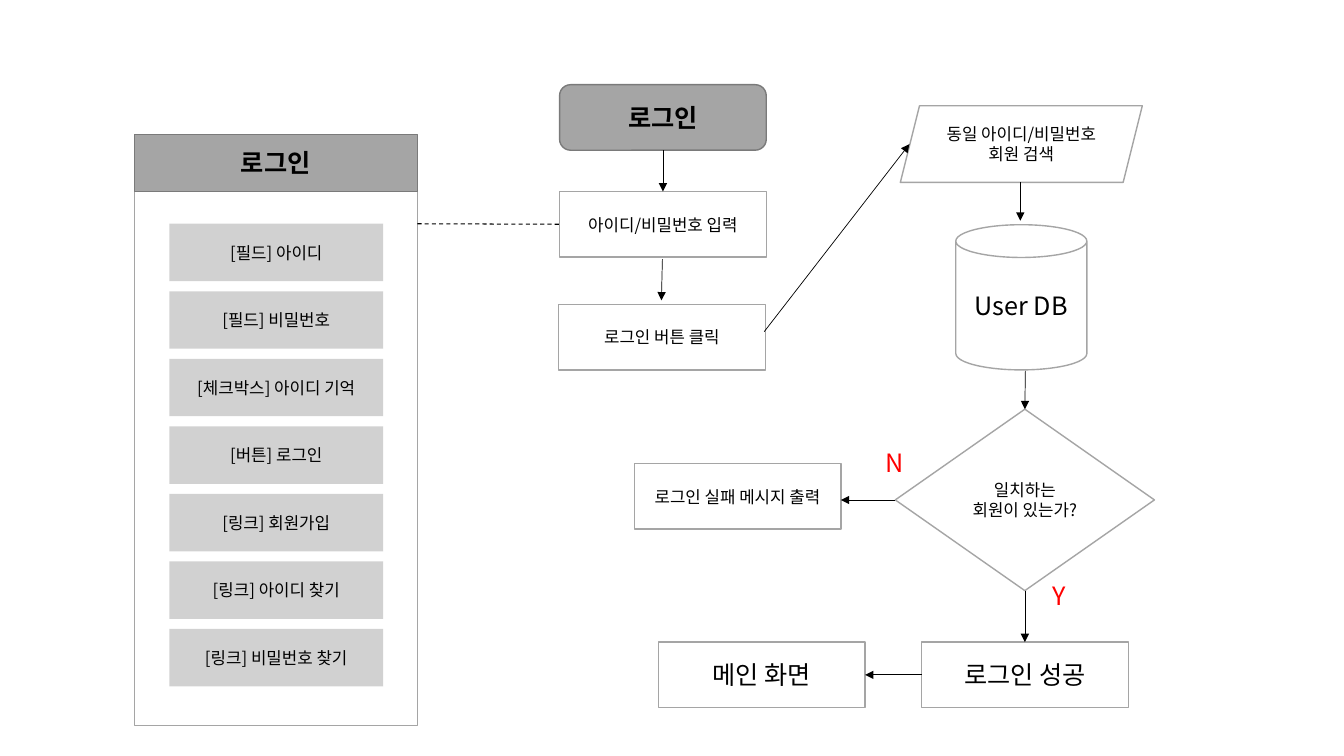
from lxml import etree
from pptx import Presentation
from pptx.dml.color import RGBColor
from pptx.enum.dml import MSO_LINE
from pptx.enum.shapes import MSO_CONNECTOR, MSO_SHAPE
from pptx.enum.text import MSO_ANCHOR, MSO_AUTO_SIZE, PP_ALIGN
from pptx.oxml.ns import qn
from pptx.util import Inches, Pt

FONT = "Noto Sans CJK KR"
BLACK = RGBColor(0x00, 0x00, 0x00)
WHITE = RGBColor(0xFF, 0xFF, 0xFF)
RED = RGBColor(0xFF, 0x00, 0x00)
GRAY = RGBColor(0xA5, 0xA5, 0xA5)
DARK_GRAY = RGBColor(0x7A, 0x7A, 0x7A)

RECTANGLE = MSO_SHAPE.RECTANGLE
ROUNDED = MSO_SHAPE.ROUNDED_RECTANGLE
PARALLELOGRAM = MSO_SHAPE.PARALLELOGRAM
CAN = MSO_SHAPE.CAN
DECISION = MSO_SHAPE.FLOWCHART_DECISION
STRAIGHT = MSO_CONNECTOR.STRAIGHT
DASH = MSO_LINE.DASH
MIDDLE = MSO_ANCHOR.MIDDLE
CENTER = PP_ALIGN.CENTER
GROW = MSO_AUTO_SIZE.SHAPE_TO_FIT_TEXT

TOP, LEFT, BOTTOM, RIGHT = range(4)
STEP_WIDTH, STEP_HEIGHT = 2.05, 0.65
FIELD_TOP, FIELD_PITCH = 2.22, 0.67
FIELDS = [
    "[필드] 아이디",
    "[필드] 비밀번호",
    "[체크박스] 아이디 기억",
    "[버튼] 로그인",
    "[링크] 회원가입",
    "[링크] 아이디 찾기",
    "[링크] 비밀번호 찾기",
]


def write_text(frame, text, size, color=BLACK, bold=False):
    frame.text = text
    for span in frame.paragraphs[0].runs:
        span.font.name = FONT
        span.font.size = Pt(size)
        span.font.bold = bold
        span.font.color.rgb = color
        east_asian = etree.SubElement(span.font._element, qn("a:ea"))
        east_asian.set("typeface", FONT)


def add_box(page, kind, place, text="", size=12, bold=False,
            fill=WHITE, line=GRAY, line_width=1):
    box = page.shapes.add_shape(kind, *map(Inches, place))
    box.shadow.inherit = False
    box.fill.solid()
    box.fill.fore_color.rgb = fill
    if line is None:
        box.line.fill.background()
    else:
        box.line.color.rgb = line
        box.line.width = Pt(line_width)
    if text:
        frame = box.text_frame
        frame.word_wrap = True
        frame.vertical_anchor = MIDDLE
        write_text(frame, text, size, bold=bold)
        frame.paragraphs[0].alignment = CENTER
    return box


def add_step(page, left, top, text, size=12):
    place = (left, top, STEP_WIDTH, STEP_HEIGHT)
    return add_box(page, RECTANGLE, place, text, size)


def add_field(page, top, text):
    """Add a half-transparent row of the login screen panel."""
    field = add_box(page, RECTANGLE, (1.68, top, 2.12, 0.57), text,
                    fill=GRAY, line=None)
    color = field._element.spPr.find(qn("a:solidFill"))[0]
    etree.SubElement(color, qn("a:alpha")).set("val", "50000")


def add_line(page, start, end, begin=None, finish=None, width=0.5):
    """Draw a line; begin and finish are optional (shape, side) joints."""
    line = page.shapes.add_connector(STRAIGHT, *map(Inches, start + end))
    line.line.color.rgb = BLACK
    line.line.width = Pt(width)
    if begin:
        line.begin_connect(*begin)
    if finish:
        line.end_connect(*finish)
    etree.SubElement(line._element.spPr, qn("a:effectLst"))
    return line


def add_arrow(page, start, end, begin=None, finish=None):
    arrow = add_line(page, start, end, begin, finish)
    head = etree.SubElement(arrow.line._get_or_add_ln(), qn("a:tailEnd"))
    head.set("type", "triangle")


def add_answer(page, left, top, text):
    box = page.shapes.add_textbox(*map(Inches, (left, top, 0.34, 0.4)))
    box.text_frame.word_wrap = True
    box.text_frame.auto_size = GROW
    write_text(box.text_frame, text, 18, RED)


def add_login_panel(page):
    add_box(page, RECTANGLE, (1.33, 1.38, 2.81, 5.81), line_width=0.25)
    add_box(page, RECTANGLE, (1.33, 1.33, 2.81, 0.57), "로그인", 18, True,
            GRAY, DARK_GRAY, 0.25)
    for index, text in enumerate(FIELDS):
        add_field(page, FIELD_TOP + index * FIELD_PITCH, text)


def add_flow(page):
    start = add_box(page, ROUNDED, (5.55, 0.84, STEP_WIDTH, STEP_HEIGHT),
                    "로그인", 18, True, GRAY, DARK_GRAY)
    entry = add_step(page, 5.55, 1.9, "아이디/비밀번호 입력")
    add_step(page, 5.54, 3.02, "로그인 버튼 클릭")
    add_box(page, PARALLELOGRAM, (8.93, 1.05, 2.4, 0.76),
            "동일 아이디/비밀번호 회원 검색")
    add_box(page, CAN, (9.48, 2.23, 1.3, 1.44), "User DB", 18)
    match = add_box(page, DECISION, (8.88, 4.06, 2.57, 1.8),
                    "일치하는 회원이 있는가?")
    add_step(page, 6.29, 4.6, "로그인 실패 메시지 출력")
    success = add_step(page, 9.14, 6.37, "로그인 성공", 18)
    home = add_step(page, 6.53, 6.37, "메인 화면", 18)

    add_arrow(page, (6.57, 1.49), (6.57, 1.9), (start, BOTTOM), (entry, TOP))
    add_arrow(page, (6.57, 2.57), (6.56, 2.98))
    add_arrow(page, (7.58, 3.29), (9.02, 1.43))
    add_arrow(page, (10.12, 1.81), (10.12, 2.19))
    add_arrow(page, (10.17, 3.68), (10.17, 4.06), finish=(match, TOP))
    add_arrow(page, (8.88, 4.96), (8.34, 4.96), begin=(match, LEFT))
    add_arrow(page, (10.17, 5.86), (10.17, 6.37),
              (match, BOTTOM), (success, TOP))
    add_arrow(page, (9.13, 6.7), (8.59, 6.7), (success, LEFT), (home, RIGHT))
    panel_link = add_line(page, (4.14, 2.22), (5.55, 2.22),
                          finish=(entry, LEFT), width=0.75)
    panel_link.line.dash_style = DASH

    add_answer(page, 8.68, 4.39, "N")
    add_answer(page, 10.34, 5.71, "Y")


def main():
    deck = Presentation()
    deck.slide_width = Inches(13.33)
    deck.slide_height = Inches(7.5)
    page = deck.slides.add_slide(deck.slide_layouts.get_by_name("Blank"))
    add_login_panel(page)
    add_flow(page)
    deck.save("out.pptx")


if __name__ == "__main__":
    main()
